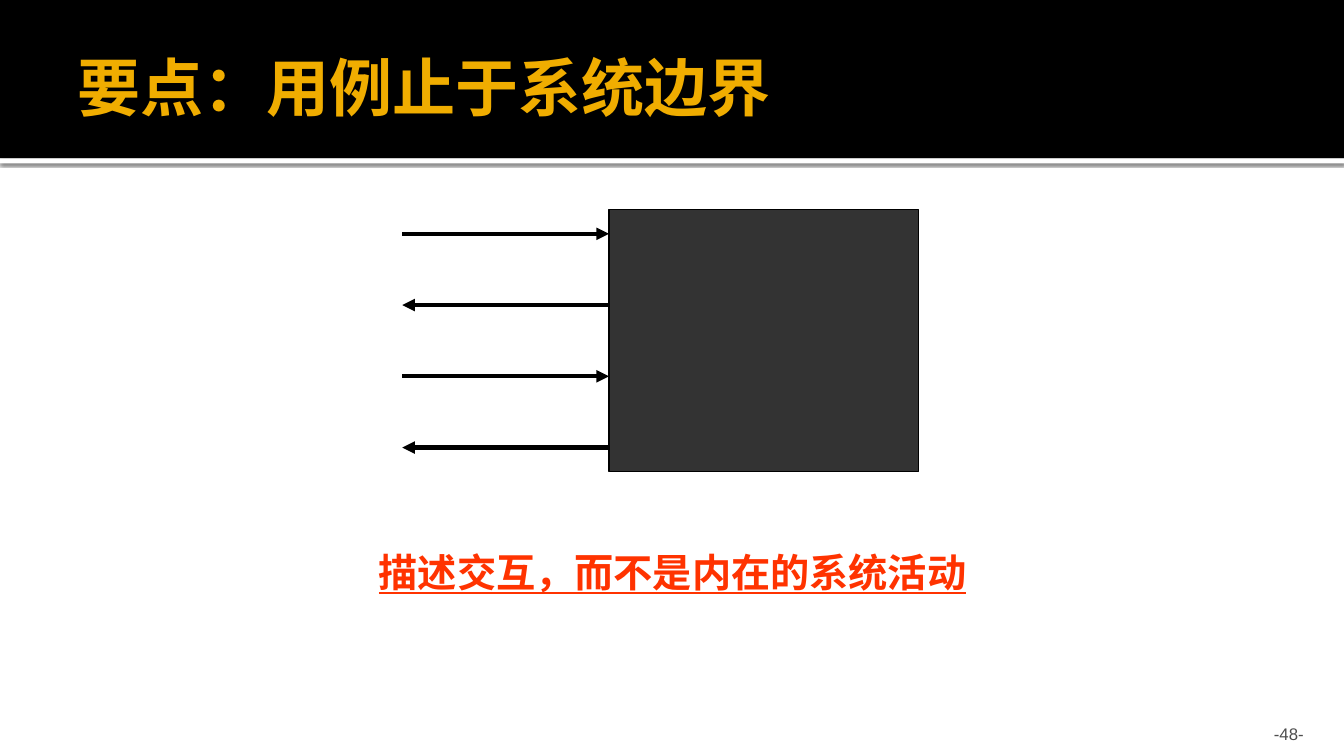
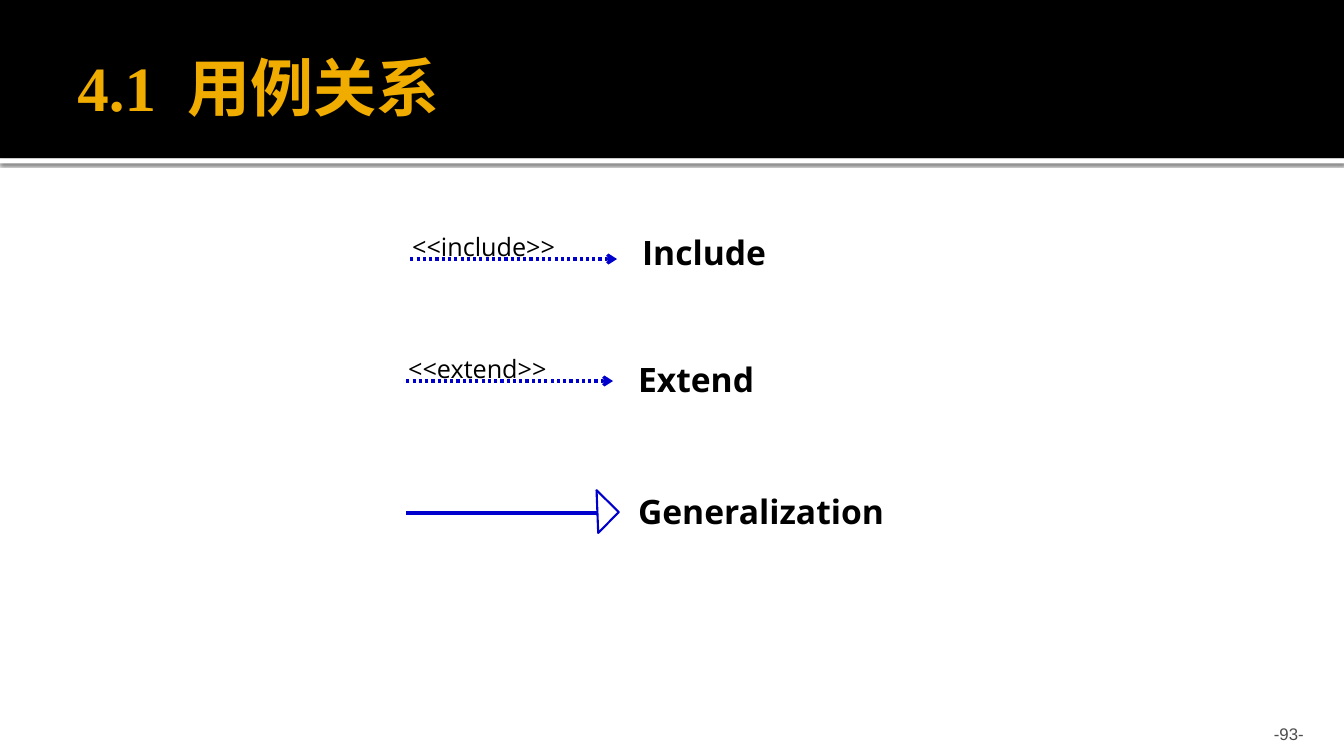
from dataclasses import dataclass

from lxml import etree
from pptx import Presentation
from pptx.dml.color import RGBColor
from pptx.enum.dml import MSO_LINE
from pptx.enum.shapes import MSO_CONNECTOR, MSO_SHAPE
from pptx.enum.text import MSO_ANCHOR, MSO_AUTO_SIZE, PP_ALIGN
from pptx.oxml.ns import qn
from pptx.util import Inches, Pt

RECTANGLE, TRIANGLE = MSO_SHAPE.RECTANGLE, MSO_SHAPE.RIGHT_TRIANGLE
STRAIGHT = MSO_CONNECTOR.STRAIGHT
DOTTED = MSO_LINE.ROUND_DOT
LEFT, CENTER, RIGHT = PP_ALIGN.LEFT, PP_ALIGN.CENTER, PP_ALIGN.RIGHT
TOP, MIDDLE, BOTTOM = MSO_ANCHOR.TOP, MSO_ANCHOR.MIDDLE, MSO_ANCHOR.BOTTOM
FIT, FIXED = MSO_AUTO_SIZE.SHAPE_TO_FIT_TEXT, MSO_AUTO_SIZE.NONE


@dataclass(frozen=True)
class Style:
    font: str
    size: float
    color: str
    bold: bool = False
    underline: bool = False


@dataclass(frozen=True)
class Theme:
    white: str = "FFFFFF"
    black: str = "000000"
    system: str = "333333"
    relation: str = "0000CC"
    title: Style = Style("Times New Roman", 45, "F0AD00", bold=True)
    number: Style = Style("Arial", 12, "4D4D4D")
    message: Style = Style("Arial", 28, "FF3300", bold=True, underline=True)
    stereotype: Style = Style("Open Sans", 18, "000000")
    label: Style = Style("Open Sans", 24, "000000", bold=True)


THEME = Theme()
WIDTH, HEIGHT = 13.33, 7.5
BAND_HEIGHT, RULE_HEIGHT = 1.57, 0.05

BOUNDARY = {
    "title": ["要点：用例止于系统边界"],
    "number": "-48-",
    "message": "描述交互，而不是内在的系统活动",
    "system": (6.04, 2.08, 3.07, 2.6),
    "directions": ["in", "out", "in", "out"],
    "arrow_left": 3.99,
    "first_y": 2.32,
    "last_y": 4.44,
}

RELATIONS = {
    "title": ["4.1", "用例关系"],
    "number": "-93-",
    "rows": [
        {"name": "Include", "stereotype": "<<include>>", "at": (4.07, 2.57), "label_top": 2.25, "width": 2.28},
        {"name": "Extend", "stereotype": "<<extend>>", "at": (4.03, 3.78), "label_top": 3.51, "width": 2.28},
        {"name": "Generalization", "stereotype": None, "at": (4.03, 5.09), "label_top": 4.82, "width": 2.95},
    ],
}


def rgb(value):
    return RGBColor.from_string(value)


def add_span(para, text, style):
    span = para.add_run()
    span.text = text
    font = span.font
    font.name, font.size, font.bold, font.underline = style.font, Pt(style.size), style.bold, style.underline
    font.color.rgb = rgb(style.color)
    return span


def add_text(page, at, text, style, align=LEFT, anchor=TOP, fit=FIT):
    box = page.shapes.add_textbox(*map(Inches, at))
    frame = box.text_frame
    frame.word_wrap = True
    frame.auto_size = fit
    frame.vertical_anchor = anchor
    para = frame.paragraphs[0]
    para.alignment = align
    if text:
        add_span(para, text, style)
    return box


def add_block(page, preset, at, fill=None, line=None, weight=1):
    shape = page.shapes.add_shape(preset, *map(Inches, at))
    shape.shadow.inherit = False
    if fill:
        shape.fill.solid()
        shape.fill.fore_color.rgb = rgb(fill)
    else:
        shape.fill.background()
    if line:
        shape.line.color.rgb = rgb(line)
        shape.line.width = Pt(weight)
    else:
        shape.line.fill.background()
    return shape


def add_line(page, start, end, color, weight, head=None, dash=None):
    line = page.shapes.add_connector(STRAIGHT, *map(Inches, (*start, *end)))
    line.line.color.rgb = rgb(color)
    line.line.width = Pt(weight)
    if dash:
        line.line.dash_style = dash
    properties = line._element.spPr
    if head:
        etree.SubElement(properties.find(qn("a:ln")), qn("a:tailEnd"), type=head)
    etree.SubElement(properties, qn("a:effectLst"))
    return line


def add_rule_shadow(rule):
    effects = rule._element.spPr.find(qn("a:effectLst"))
    shadow = etree.SubElement(
        effects, qn("a:outerShdw"), blurRad=str(Pt(2.5)), dist=str(Pt(0.8)), dir="5400000", rotWithShape="0"
    )
    color = etree.SubElement(shadow, qn("a:srgbClr"), val=THEME.black)
    etree.SubElement(color, qn("a:alpha"), val="60000")


def add_page(deck, content):
    page = deck.slides.add_slide(deck.slide_layouts[6])
    rule = add_block(page, RECTANGLE, (0, BAND_HEIGHT, WIDTH, RULE_HEIGHT), THEME.white)
    add_rule_shadow(rule)
    add_block(page, RECTANGLE, (0, 0, WIDTH, BAND_HEIGHT), THEME.black)

    title = add_text(page, (0.67, 0.17, 12, 1.37), "", THEME.title, anchor=MIDDLE, fit=FIXED)
    para = title.text_frame.paragraphs[0]
    for index, part in enumerate(content["title"]):
        if index:
            gap = add_span(para, " ", THEME.title)
            gap.font._element.set("spc", "1100")
        add_span(para, part, THEME.title)

    number = add_text(page, (11.96, 7.08, 1.07, 0.3), content["number"], THEME.number, RIGHT, BOTTOM, FIXED)
    number.text_frame.margin_bottom = 0
    return page


def build_boundary(deck):
    content = BOUNDARY
    page = add_page(deck, content)
    add_block(page, RECTANGLE, content["system"], THEME.system, THEME.black)
    directions = content["directions"]
    step = (content["last_y"] - content["first_y"]) / (len(directions) - 1)
    for index, direction in enumerate(directions):
        y = content["first_y"] + index * step
        outside, edge = (content["arrow_left"], y), (content["system"][0], y)
        start, end = (outside, edge) if direction == "in" else (edge, outside)
        add_line(page, start, end, THEME.black, 3, "triangle")
    add_text(page, (2.18, 5.39, 8.98, 0.57), content["message"], THEME.message, CENTER)


def build_relations(deck):
    page = add_page(deck, RELATIONS)
    for row in RELATIONS["rows"]:
        x, y = row["at"]
        if row["stereotype"]:
            add_line(page, (x, y), (x + 2.05, y), THEME.relation, 2.25, "arrow", DOTTED)
            add_text(page, (x - 0.08, y - 0.32, 1.97, 0.4), row["stereotype"], THEME.stereotype)
        else:
            add_line(page, (x, y), (x + 1.89, y), THEME.relation, 2.25)
            head = add_block(page, TRIANGLE, (x + 1.74, y - 0.16, 0.31, 0.29), line=THEME.relation, weight=1.5)
            head.rotation = 224.6
        add_text(page, (x + 2.2, row["label_top"], row["width"], 0.5), row["name"], THEME.label)


def main():
    deck = Presentation()
    deck.slide_width, deck.slide_height = Inches(WIDTH), Inches(HEIGHT)
    build_boundary(deck)
    build_relations(deck)
    deck.save("out.pptx")


if __name__ == "__main__":
    main()
